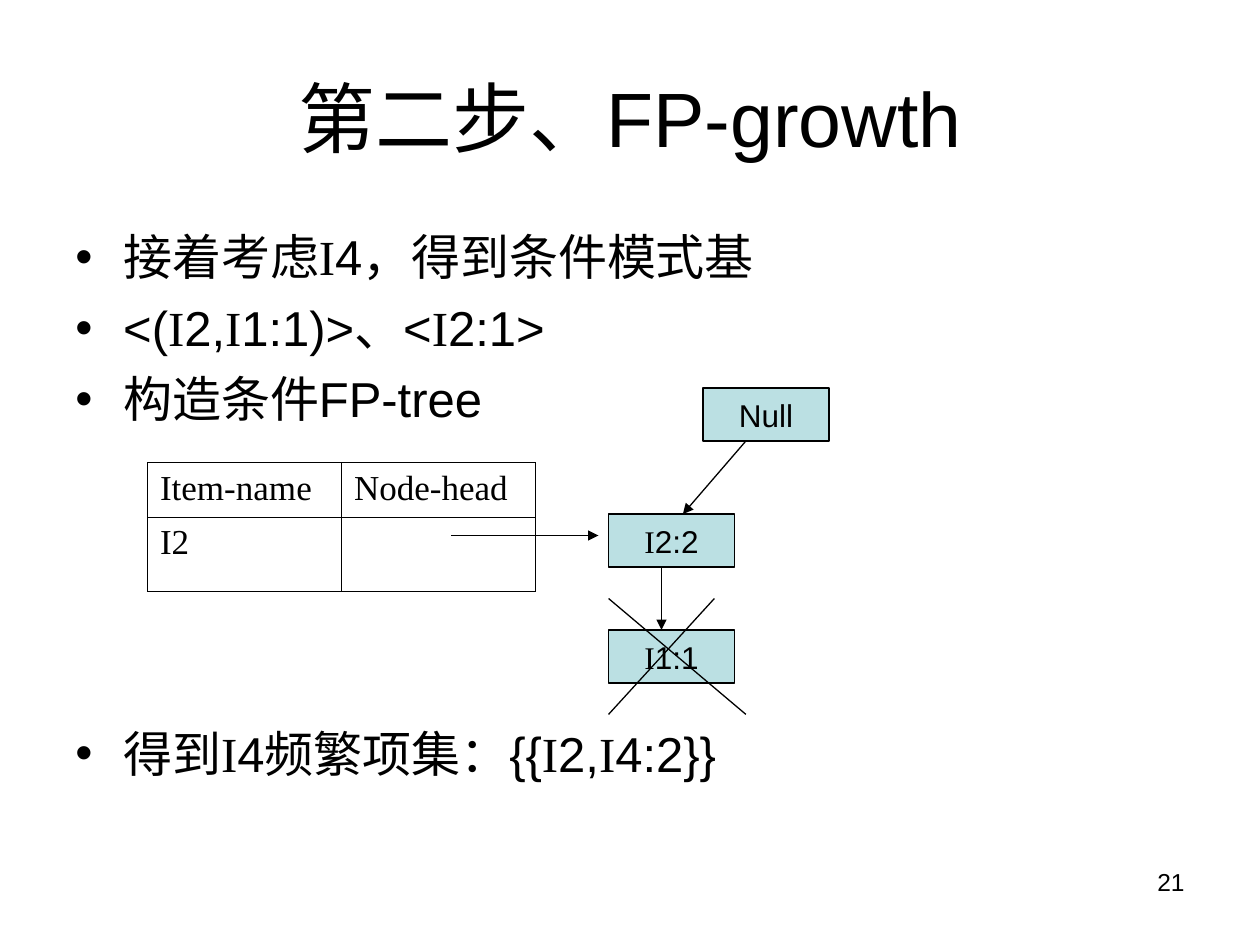
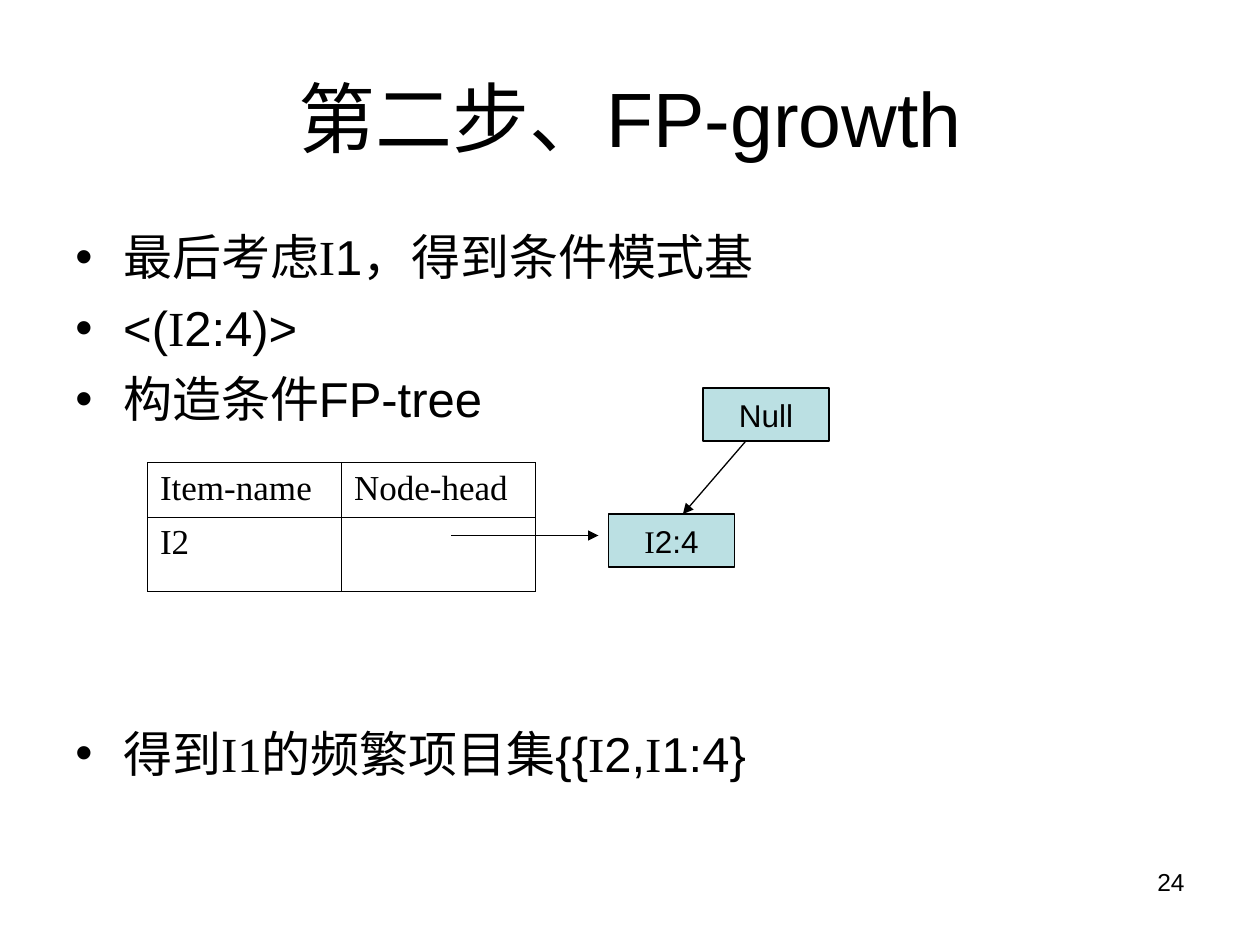
from dataclasses import dataclass

from lxml.etree import SubElement
from pptx import Presentation
from pptx.dml.color import RGBColor
from pptx.enum.shapes import MSO_CONNECTOR, MSO_SHAPE
from pptx.enum.text import MSO_ANCHOR, PP_ALIGN
from pptx.oxml.ns import qn
from pptx.slide import Slide
from pptx.text.text import TextFrame, _Paragraph
from pptx.util import Inches, Pt

BLACK = RGBColor(0x00, 0x00, 0x00)
WHITE = RGBColor(0xFF, 0xFF, 0xFF)
AQUA = RGBColor(0xBB, 0xE0, 0xE3)
SANS = "Arial"
SERIF = "Times New Roman"
TITLE = "第二步、FP-growth"
HEADS = ("Item-name", "Node-head")
NODE_W, NODE_H = 1, 0.42
BODY_GAP = 7
TREE_GAP = 169


@dataclass(frozen=True)
class Node:
    text: str
    left: float
    top: float


@dataclass(frozen=True)
class Line:
    x1: float
    y1: float
    x2: float
    y2: float
    arrow: bool = True


@dataclass(frozen=True)
class Page:
    number: int
    width: float
    points: tuple[str, ...]
    result: str
    nodes: tuple[Node, ...]
    lines: tuple[Line, ...]


ROOT = Node("Null", 5.58, 3.08)
LINKS = (Line(5.92, 3.5, 5.42, 4.08), Line(3.58, 4.25, 4.75, 4.25))
PRUNED = (
    Line(4.83, 4.75, 5.92, 5.67, False),
    Line(5.67, 4.75, 4.83, 5.67, False),
    Line(5.25, 4.5, 5.25, 5),
)
PAGES = (
    Page(
        21, 8.33,
        ("接着考虑|I|4，得到条件模式基", "<(|I|2,|I|1:1)>、<|I|2:1>", "构造条件FP-tree"),
        "得到|I|4频繁项集：{{|I|2,|I|4:2}}",
        (ROOT, Node("|I|2:2", 4.83, 4.08), Node("|I|1:1", 4.83, 5)),
        LINKS + PRUNED,
    ),
    Page(
        24, 9.17,
        ("最后考虑|I|1，得到条件模式基", "<(|I|2:4)>", "构造条件FP-tree"),
        "得到|I1|的频繁项目集{{|I|2,|I|1:4}",
        (ROOT, Node("|I|2:4", 4.83, 4.08)),
        LINKS,
    ),
)


def add_runs(para: _Paragraph, text: str, size: float) -> None:
    """Parts between bars are set in the serif face."""
    for i, part in enumerate(text.split("|")):
        if part:
            run = para.add_run()
            run.text = part
            run.font.name = SERIF if i % 2 else SANS
            run.font.size = Pt(size)
            run.font.color.rgb = BLACK


def add_box(slide: Slide, left: float, top: float, width: float, height: float) -> TextFrame:
    box = slide.shapes.add_textbox(Inches(left), Inches(top), Inches(width), Inches(height))
    box.text_frame.word_wrap = True
    return box.text_frame


def add_label(slide: Slide, text: str, size: float, align: PP_ALIGN,
              left: float, top: float, width: float, height: float) -> None:
    frame = add_box(slide, left, top, width, height)
    if align == PP_ALIGN.CENTER:
        frame.vertical_anchor = MSO_ANCHOR.MIDDLE
    frame.paragraphs[0].alignment = align
    add_runs(frame.paragraphs[0], text, size)


def add_body(slide: Slide, page: Page) -> None:
    frame = add_box(slide, 0.5, 1.75, page.width, 4.95)
    for i, text in enumerate((*page.points, page.result)):
        para = frame.add_paragraph() if i else frame.paragraphs[0]
        para.space_before = Pt(TREE_GAP if text == page.result else BODY_GAP)
        props = para._p.get_or_add_pPr()
        props.set("marL", str(Inches(0.38)))
        props.set("indent", str(-Inches(0.38)))
        SubElement(props, qn("a:buFont"), typeface=SANS)
        SubElement(props, qn("a:buChar"), char="•")
        add_runs(para, text, 28)


def add_grid(slide: Slide) -> None:
    frame = slide.shapes.add_table(2, 2, Inches(1.17), Inches(3.67), Inches(3.08), Inches(1.02))
    table = frame.table
    table.first_row = table.horz_banding = False
    for row, height in zip(table.rows, (0.43, 0.59)):
        row.height = Inches(height)
    for cell, text in zip(table.iter_cells(), (*HEADS, "I2", "")):
        add_runs(cell.text_frame.paragraphs[0], f"|{text}", 20)
        props = cell._tc.get_or_add_tcPr()
        for side in "LRTB":
            edge = SubElement(props, qn(f"a:ln{side}"), w=str(Pt(0.45)))
            fill = SubElement(edge, qn("a:solidFill"))
            SubElement(fill, qn("a:srgbClr"), val=str(BLACK))
        cell.fill.background()


def add_node(slide: Slide, node: Node) -> None:
    shape = slide.shapes.add_shape(
        MSO_SHAPE.RECTANGLE, Inches(node.left), Inches(node.top), Inches(NODE_W), Inches(NODE_H))
    shape.shadow.inherit = False
    shape.fill.solid()
    shape.fill.fore_color.rgb = AQUA
    shape.line.color.rgb = BLACK
    shape.line.width = Pt(0.75)
    frame = shape.text_frame
    frame.word_wrap = False
    frame.vertical_anchor = MSO_ANCHOR.MIDDLE
    frame.paragraphs[0].alignment = PP_ALIGN.CENTER
    add_runs(frame.paragraphs[0], node.text, 18)


def add_line(slide: Slide, line: Line) -> None:
    link = slide.shapes.add_connector(
        MSO_CONNECTOR.STRAIGHT, Inches(line.x1), Inches(line.y1), Inches(line.x2), Inches(line.y2))
    link.line.color.rgb = BLACK
    link.line.width = Pt(0.75)
    if line.arrow:
        SubElement(link.line._get_or_add_ln(), qn("a:tailEnd"), type="triangle")
    SubElement(link._element.spPr, qn("a:effectLst"))


def add_page(deck: Presentation, page: Page) -> None:
    slide = deck.slides.add_slide(deck.slide_layouts[6])
    slide.background.fill.solid()
    slide.background.fill.fore_color.rgb = WHITE
    add_label(slide, TITLE, 44, PP_ALIGN.CENTER, 0.5, 0.3, 9, 1.25)
    add_body(slide, page)
    add_grid(slide)
    for node in page.nodes:
        add_node(slide, node)
    for line in page.lines:
        add_line(slide, line)
    add_label(slide, str(page.number), 14, PP_ALIGN.RIGHT, 7.17, 6.83, 2.33, 0.52)


def main() -> None:
    deck = Presentation()
    deck.slide_width, deck.slide_height = Inches(10), Inches(7.5)
    for page in PAGES:
        add_page(deck, page)
    deck.save("out.pptx")


if __name__ == "__main__":
    main()
